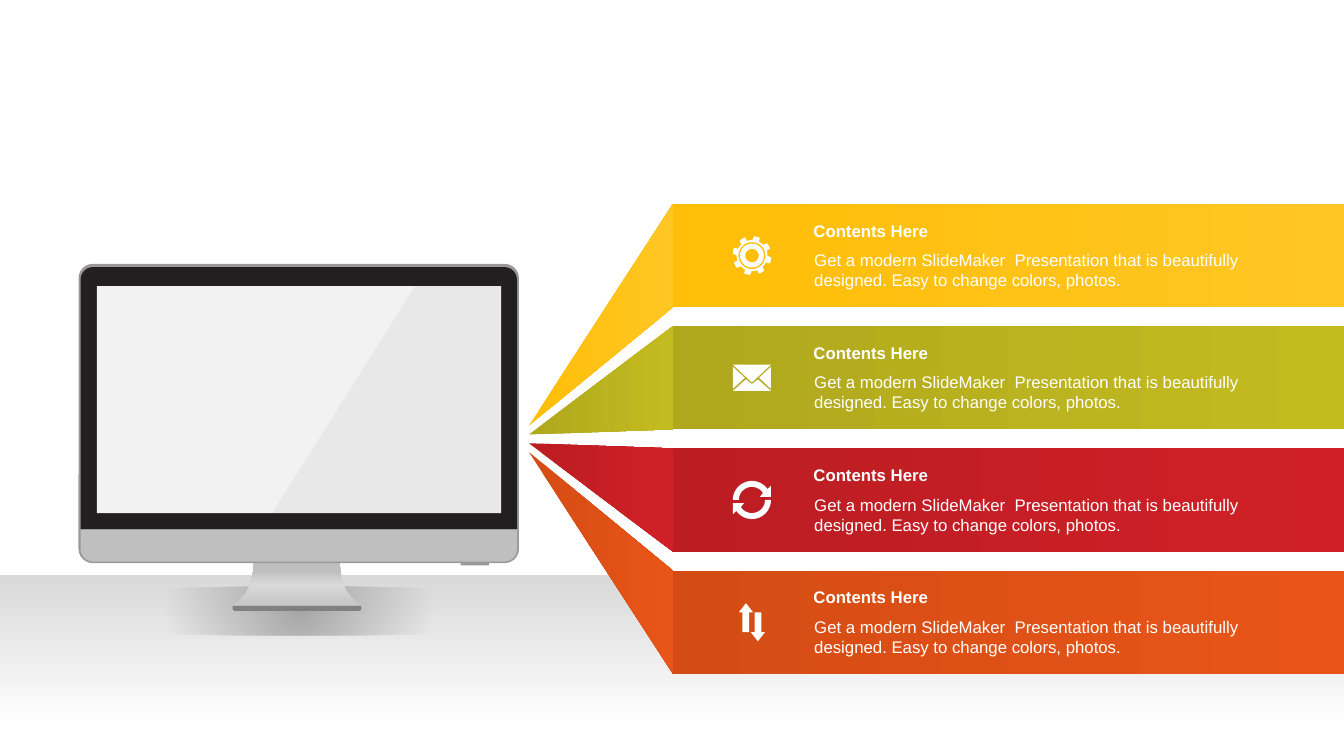
from dataclasses import dataclass
from math import cos, radians, sin

from lxml import etree
from pptx import Presentation
from pptx.dml.color import RGBColor
from pptx.enum.shapes import MSO_SHAPE
from pptx.oxml.ns import qn
from pptx.util import Cm, Pt

RECT = MSO_SHAPE.RECTANGLE
OVAL = MSO_SHAPE.OVAL
ROUNDED = MSO_SHAPE.ROUNDED_RECTANGLE
ROUNDED_TOP = MSO_SHAPE.ROUND_2_SAME_RECTANGLE


@dataclass(frozen=True)
class Theme:
    """Colours and type of the slide."""
    white: str = "FFFFFF"
    floor: str = "D9D9D9"
    shadow: str = "808080"
    case: str = "999999"
    bezel: str = "231F20"
    chin: str = "BFBFBF"
    screen: str = "F2F2F2"
    font: str = "Arial"
    size: int = 12
    bands: tuple = (("FFBE07", "FFC624"), ("B0A81D", "C4BB20"),
                    ("BB1D23", "D02027"), ("D44C14", "E95519"))


THEME = Theme()
HEADING = "Contents Here"
BODY = ("Get a modern SlideMaker  Presentation that is beautifully designed. "
        "Easy to change colors, photos.")


def paint(shape, *stops, angle=0):
    """Fill a shape from (position, colour, opacity) stops; angle None is radial."""
    shape.shadow.inherit = False
    shape.line.fill.background()
    if len(stops) == 1:
        shape.fill.solid()
        shape.fill.fore_color.rgb = RGBColor.from_string(stops[0][1])
        colour = shape.fill._xPr.find(qn("a:solidFill"))[0]
        etree.SubElement(colour, qn("a:alpha"), val=str(stops[0][2] * 1000))
        return
    shape.fill.gradient()
    gradient = shape.fill._xPr.find(qn("a:gradFill"))
    for child in list(gradient):
        gradient.remove(child)
    stop_list = etree.SubElement(gradient, qn("a:gsLst"))
    for position, colour, opacity in stops:
        stop = etree.SubElement(stop_list, qn("a:gs"), pos=str(position * 1000))
        rgb = etree.SubElement(stop, qn("a:srgbClr"), val=colour)
        etree.SubElement(rgb, qn("a:alpha"), val=str(opacity * 1000))
    if angle is None:
        radial = etree.SubElement(gradient, qn("a:path"), path="circle")
        etree.SubElement(radial, qn("a:fillToRect"), l="50000", t="50000", r="50000", b="50000")
    else:
        etree.SubElement(gradient, qn("a:lin"), ang=str(angle * 60000), scaled="0")


def panel(slide, kind, box, *stops, angle=0, radius=None, flipped=False):
    """Add a painted preset shape in a box given in centimetres."""
    shape = slide.shapes.add_shape(kind, *map(Cm, box))
    paint(shape, *stops, angle=angle)
    if radius is not None:
        shape.adjustments[0] = radius / min(box[2:])
    if flipped:
        shape.rotation = 180
    return shape


def outline(slide, origin, contours, *stops, angle=0):
    """Add a painted freeform whose contours are measured from an origin."""
    builder = None
    for contour in contours:
        points = [(Cm(origin[0] + x), Cm(origin[1] + y)) for x, y in contour]
        if builder is None:
            builder = slide.shapes.build_freeform(*points[0])
        else:
            builder.move_to(*points[0])
        builder.add_line_segments(points[1:], close=True)
    paint(builder.convert_to_shape(), *stops, angle=angle)


def arc(radius, start, end, step=5):
    """Return points along an arc, clockwise from the right in degrees."""
    return [(radius * cos(radians(a)), radius * sin(radians(a)))
            for a in range(start, end, step)]


def with_half_turn(contour):
    """Return a contour and the same one turned by 180 degrees."""
    return [contour, [(-x, -y) for x, y in contour]]


def gear_icon():
    """Return a gear with eight teeth and a ringed hub."""
    rim = []
    for tooth in range(15, 375, 45):
        rim += arc(0.39, tooth - 34, tooth - 10) + arc(0.49, tooth - 9, tooth + 10, 6)
    return [rim] + [arc(radius, 0, 360) for radius in (0.34, 0.3, 0.17)]


def mail_icon():
    """Return an envelope made of four flaps."""
    return [[(-0.48, -0.33), (0.48, -0.33), (0, 0.12)],
            [(-0.48, 0.33), (-0.15, 0.04), (0, 0.16), (0.15, 0.04), (0.48, 0.33)],
            [(-0.48, -0.28), (-0.18, 0), (-0.48, 0.28)],
            [(0.48, -0.28), (0.18, 0), (0.48, 0.28)]]


def refresh_icon():
    """Return two arrows that chase each other round a circle."""
    head = [(0.48, -0.36), (0.48, -0.08), (0.2, -0.08), (0.28, -0.18)]
    return with_half_turn(arc(0.48, 180, 326) + head + arc(0.33, 180, 326)[::-1])


def exchange_icon():
    """Return one arrow up and one arrow down."""
    return with_half_turn([(-0.15, -0.48), (0.03, -0.25), (-0.07, -0.25), (-0.07, 0.25),
                           (-0.24, 0.25), (-0.24, -0.25), (-0.33, -0.25)])


def draw_floor(slide, left, top, width, height):
    """Draw the fading floor and the soft shadow under the monitor."""
    panel(slide, RECT, (left, top, width, height),
          (0, THEME.floor, 100), (100, THEME.white, 100), angle=90)
    panel(slide, OVAL, (left - 0.86, top + 0.3, 16.79, 1.22),
          (0, THEME.shadow, 60), (40, THEME.shadow, 0), (100, THEME.shadow, 0), angle=None)


def draw_monitor(slide, left, top, width, height):
    """Draw a desktop monitor whose case fills the box, with its stand below."""
    bottom, centre = top + height, left + width / 2
    profile = [(1.08, 0), (1.1, 0.25), (1.17, 0.55), (1.27, 0.76), (1.45, 0.95),
               (1.62, 1.08), (1.62, 1.17), (1.4, 1.22)]
    outline(slide, (centre - 0.05, bottom - 0.02),
            [profile + [(-x, y) for x, y in reversed(profile)]],
            (0, THEME.chin, 100), (53, THEME.floor, 100), (83, THEME.chin, 100),
            (100, THEME.chin, 100), angle=270)
    panel(slide, ROUNDED, (left, top, width, height), (0, THEME.case, 100), radius=0.36)
    panel(slide, RECT, (left + 9.63, bottom - 0.02, 0.71, 0.08), (0, THEME.case, 100))
    panel(slide, ROUNDED_TOP, (left + 0.05, top + 0.08, width - 0.1, 6.6),
          (0, THEME.bezel, 100), radius=0.32)
    panel(slide, ROUNDED_TOP, (centre - 1.67, bottom + 1.08, 3.25, 0.12),
          (0, THEME.shadow, 100), radius=0.06, flipped=True)
    panel(slide, ROUNDED_TOP, (left + 0.05, top + 6.7, width - 0.1, height - 6.74),
          (0, THEME.chin, 100), radius=0.32, flipped=True)
    screen_width, screen_height = width - 0.91, 5.72
    panel(slide, RECT, (left + 0.46, top + 0.56, screen_width, screen_height),
          (0, THEME.screen, 100))
    outline(slide, (left + 0.46, top + 0.56),
            [[(8.02, 0), (screen_width, 0), (screen_width, screen_height),
              (4.42, screen_height)]], (0, THEME.case, 10))


def write(slide, box, words, bold):
    """Write one wrapped paragraph in a box given in centimetres."""
    frame = slide.shapes.add_textbox(*map(Cm, box)).text_frame
    frame.word_wrap = True
    paragraph = frame.paragraphs[0]
    paragraph.text = words
    formats = {"name": THEME.font, "size": Pt(THEME.size), "bold": bold}
    for attribute, value in formats.items():
        setattr(paragraph.font, attribute, value)
    paragraph.font.color.rgb = RGBColor.from_string(THEME.white)


def draw_band(slide, left, top, width, height, apex, colours, icon):
    """Draw a content band with its ray from the monitor, icon and text."""
    stops = [(0, colours[0], 100), (100, colours[1], 100)]
    panel(slide, RECT, (left, top, width, height), *stops)
    outline(slide, (0, 0), [[(left + 0.02, top), (left + 0.02, top + height), apex]], *stops)
    outline(slide, (left + 2.01, top + height / 2), icon, (0, THEME.white, 100))
    write(slide, (left + 3.33, top + 1.03, 12.06, 1.27), BODY, False)
    write(slide, (left + 3.31, top + 0.29, 12.06, 0.76), HEADING, True)


def main():
    """Build the slide and save it."""
    presentation = Presentation()
    presentation.slide_width, presentation.slide_height = Cm(33.87), Cm(19.05)
    slide = presentation.slides.add_slide(presentation.slide_layouts[6])
    draw_floor(slide, 0, 14.48, 33.87, 3.84)
    draw_monitor(slide, 1.98, 6.65, 11.1, 7.54)
    icons = (gear_icon(), mail_icon(), refresh_icon(), exchange_icon())
    for row, (colours, icon) in enumerate(zip(THEME.bands, icons)):
        draw_band(slide, 16.94, 5.14 + 3.08 * row, 16.93, 2.6,
                  (13.33, 10.73 + 0.22 * row), colours, icon)
    presentation.save("out.pptx")


if __name__ == "__main__":
    main()
